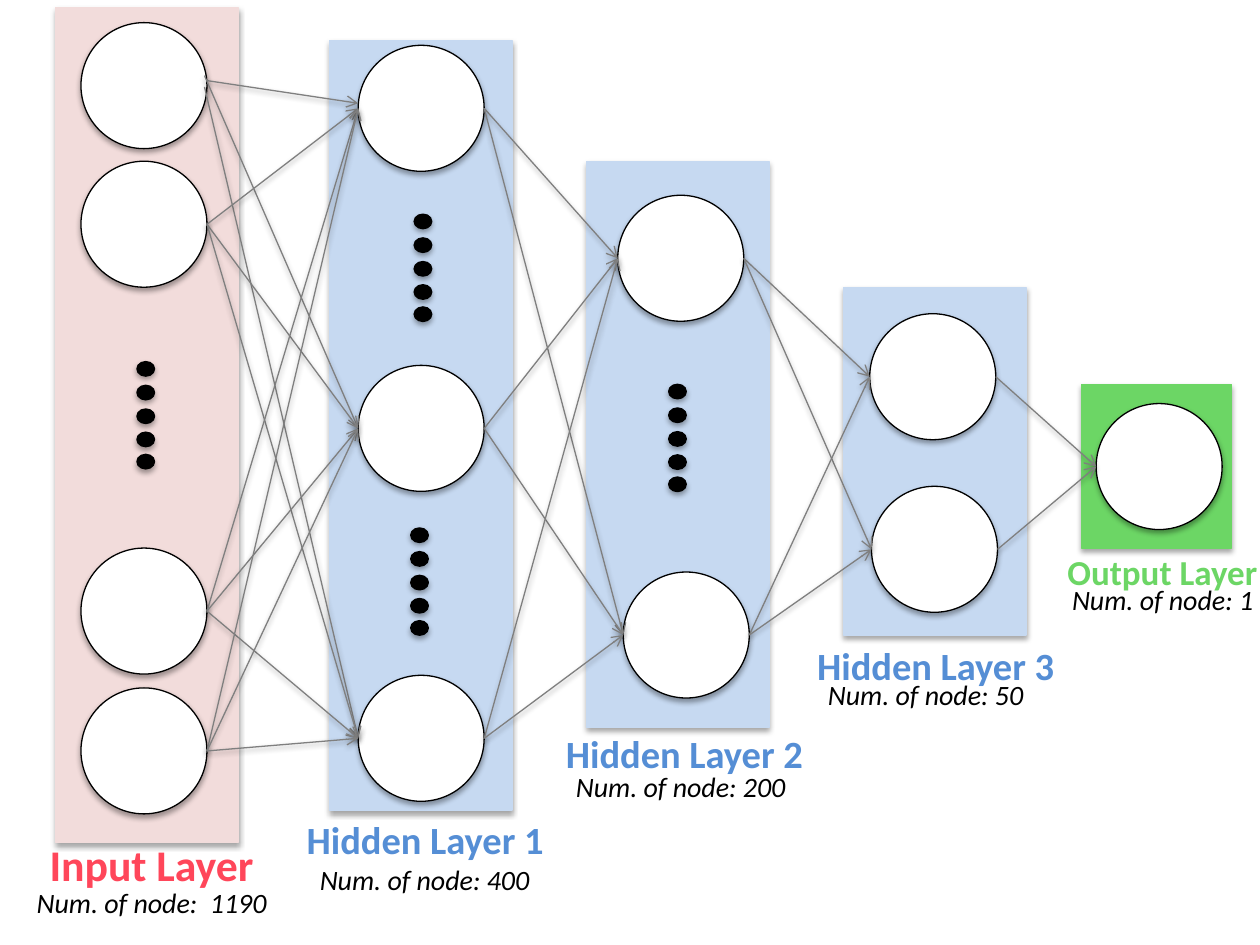
"""Draw a feed-forward neural network with its layers, nodes and links."""
import itertools
import math
from collections import namedtuple

import lxml.etree
import pptx
import pptx.dml.color
import pptx.enum.shapes
import pptx.enum.text
import pptx.oxml.ns
import pptx.util

RGB = pptx.dml.color.RGBColor
SHAPE = pptx.enum.shapes.MSO_SHAPE
qn = pptx.oxml.ns.qn

BLACK = RGB(0x00, 0x00, 0x00)
WHITE = RGB(0xFF, 0xFF, 0xFF)
GRAY = RGB(0x7F, 0x7F, 0x7F)
PINK = RGB(0xF2, 0xDC, 0xDB)
RED = RGB(0xFF, 0x46, 0x5A)
PALE_BLUE = RGB(0xC6, 0xD9, 0xF1)
BLUE = RGB(0x55, 0x8E, 0xD5)
GREEN = RGB(0x6C, 0xD6, 0x65)

WIDTH, HEIGHT = pptx.util.Inches(10), pptx.util.Inches(7.5)
COLUMNS, ROWS = 100, 75
NODE = 10
DOT_WIDTH, DOT_HEIGHT, DOT_SIDES = 1.4, 1.16, 12
DOT_OFFSETS = (0, 1.88, 3.76, 5.6, 7.36)

Layer = namedtuple("Layer", "panel fill nodes dots title title_box size color count count_box")
LAYERS = [
    Layer((4.4, 0.6, 14.5, 66.25), PINK,
          [(6.43, 1.8), (6.43, 12.8), (6.43, 43.5), (6.43, 54.6)], [(10.87, 28.7)],
          "Input Layer", (2.95, 66, 19.8, 5.2), 25, RED,
          "Num. of node:  1190", (1.93, 69.8, 21.6, 3.7)),
    Layer((26.13, 3.2, 14.5, 61.1), PALE_BLUE,
          [(28.43, 3.6), (28.43, 29), (28.43, 53.6)], [(32.87, 17), (32.6, 41.9)],
          "Hidden Layer 1", (23.35, 64.3, 21.1, 4.7), 22, BLUE,
          "Num. of node: 400", (24.4, 68, 18.7, 3.7)),
    Layer((46.53, 12.8, 14.5, 44.95), PALE_BLUE,
          [(49.03, 15.5), (49.47, 45.4)], [(53.07, 30.5)],
          "Hidden Layer 2", (43.93, 57.45, 21.1, 4.7), 22, BLUE,
          "Num. of node: 200", (44.73, 60.6, 18.7, 3.7)),
    Layer((66.93, 22.8, 14.5, 27.6), PALE_BLUE,
          [(69.03, 24.9), (69.17, 38.6)], [],
          "Hidden Layer 3", (63.87, 50.43, 21.1, 4.7), 22, BLUE,
          "Num. of node: 50", (64.73, 53.3, 18.7, 3.7)),
    Layer((85.85, 30.5, 11.9, 13), GREEN,
          [(87, 32.03)], [],
          "Output Layer", (83.73, 43.2, 18.6, 4.4), 20, GREEN,
          "Num. of node: 1", (84.1, 45.75, 18.2, 3.7)),
]
FIRST_NODE_SHIFTS = [(0, -0.4, -0.4), (-0.2, -0.8, 0), (-0.2, 0.1, 0)]


def col(n):
    """Return the length of n grid columns."""
    return round(WIDTH * n / COLUMNS)


def row(n):
    """Return the length of n grid rows."""
    return round(HEIGHT * n / ROWS)


def cells(box):
    """Turn a grid box into left, top, width and height."""
    x, y, w, h = box
    return col(x), row(y), col(w), row(h)


def add_shadow(sp, alpha, distance):
    """Give a shape or connector a soft shadow straight below it."""
    effects = lxml.etree.SubElement(sp._element.spPr, qn("a:effectLst"))
    shadow = lxml.etree.SubElement(
        effects, qn("a:outerShdw"), blurRad=str(pptx.util.Pt(3.1)),
        dist=str(pptx.util.Pt(distance)), dir="5400000", rotWithShape="0")
    color = lxml.etree.SubElement(shadow, qn("a:srgbClr"), val=str(BLACK))
    lxml.etree.SubElement(color, qn("a:alpha"), val=str(alpha * 1000))


def paint(sp, fill, line):
    """Set the fill, outline and shadow of a shape."""
    sp.fill.solid()
    sp.fill.fore_color.rgb = fill
    sp.line.color.rgb = line
    sp.line.width = pptx.util.Pt(0.75)
    add_shadow(sp, 35, 1.8)


def add_panel(s, box, color):
    """Add the background rectangle of a layer."""
    paint(s.shapes.add_shape(SHAPE.RECTANGLE, *cells(box)), color, color)


def add_node(s, x, y):
    """Add one round network node."""
    paint(s.shapes.add_shape(SHAPE.OVAL, *cells((x, y, NODE, NODE))), WHITE, BLACK)


def dot_points(x, y):
    """Return the outline of one dot whose box starts at x, y."""
    rx, ry = DOT_WIDTH / 2, DOT_HEIGHT / 2
    angles = [2 * math.pi * i / DOT_SIDES for i in range(DOT_SIDES)]
    return [(col(x + rx + rx * math.cos(a)), row(y + ry + ry * math.sin(a)))
            for a in angles]


def add_dots(s, x, y):
    """Add a vertical ellipsis as a single outline."""
    first, *others = [dot_points(x, y + offset) for offset in DOT_OFFSETS]
    builder = s.shapes.build_freeform(*first[0])
    builder.add_line_segments(first[1:], close=True)
    for points in others:
        builder.move_to(*points[0])
        builder.add_line_segments(points[1:], close=True)
    paint(builder.convert_to_shape(), BLACK, BLACK)


def add_label(s, text, box, size, color, bold=False, italic=False):
    """Add a one-line label."""
    tf = s.shapes.add_textbox(*cells(box)).text_frame
    tf.word_wrap = True
    tf.auto_size = pptx.enum.text.MSO_AUTO_SIZE.SHAPE_TO_FIT_TEXT
    p = tf.paragraphs[0]
    p.text = text
    p.font.name = "Calibri"
    p.font.size = pptx.util.Pt(size)
    p.font.color.rgb = color
    p.font.bold = bold
    p.font.italic = italic


def add_link(s, source, target, shift=(0, 0, 0)):
    """Add an arrow from the right of one node to the left of another."""
    (x1, y1), (x2, y2) = source, target
    start_dx, start_dy, end_dy = shift
    link = s.shapes.add_connector(
        pptx.enum.shapes.MSO_CONNECTOR.STRAIGHT,
        col(x1 + NODE + start_dx), row(y1 + NODE / 2 + start_dy),
        col(x2), row(y2 + NODE / 2 + end_dy))
    link.line.color.rgb = GRAY
    link.line.width = pptx.util.Pt(0.75)
    lxml.etree.SubElement(link.line._get_or_add_ln(), qn("a:tailEnd"), type="arrow")
    add_shadow(link, 38, 1.6)


def add_layer(s, layer):
    """Add a layer's panel, nodes, dots and labels."""
    add_panel(s, layer.panel, layer.fill)
    for x, y in layer.nodes:
        add_node(s, x, y)
    for x, y in layer.dots:
        add_dots(s, x, y)
    add_label(s, layer.title, layer.title_box, layer.size, layer.color, bold=True)
    add_label(s, layer.count, layer.count_box, 16, BLACK, italic=True)


def main():
    """Build and save the slide."""
    prs = pptx.Presentation()
    prs.slide_width, prs.slide_height = WIDTH, HEIGHT
    s = prs.slides.add_slide(prs.slide_layouts[6])
    for layer in LAYERS:
        add_layer(s, layer)
    links = itertools.chain.from_iterable(
        itertools.product(left.nodes, right.nodes)
        for left, right in zip(LAYERS, LAYERS[1:]))
    for (source, target), shift in itertools.zip_longest(
            links, FIRST_NODE_SHIFTS, fillvalue=(0, 0, 0)):
        add_link(s, source, target, shift)
    prs.save("out.pptx")


if __name__ == "__main__":
    main()
